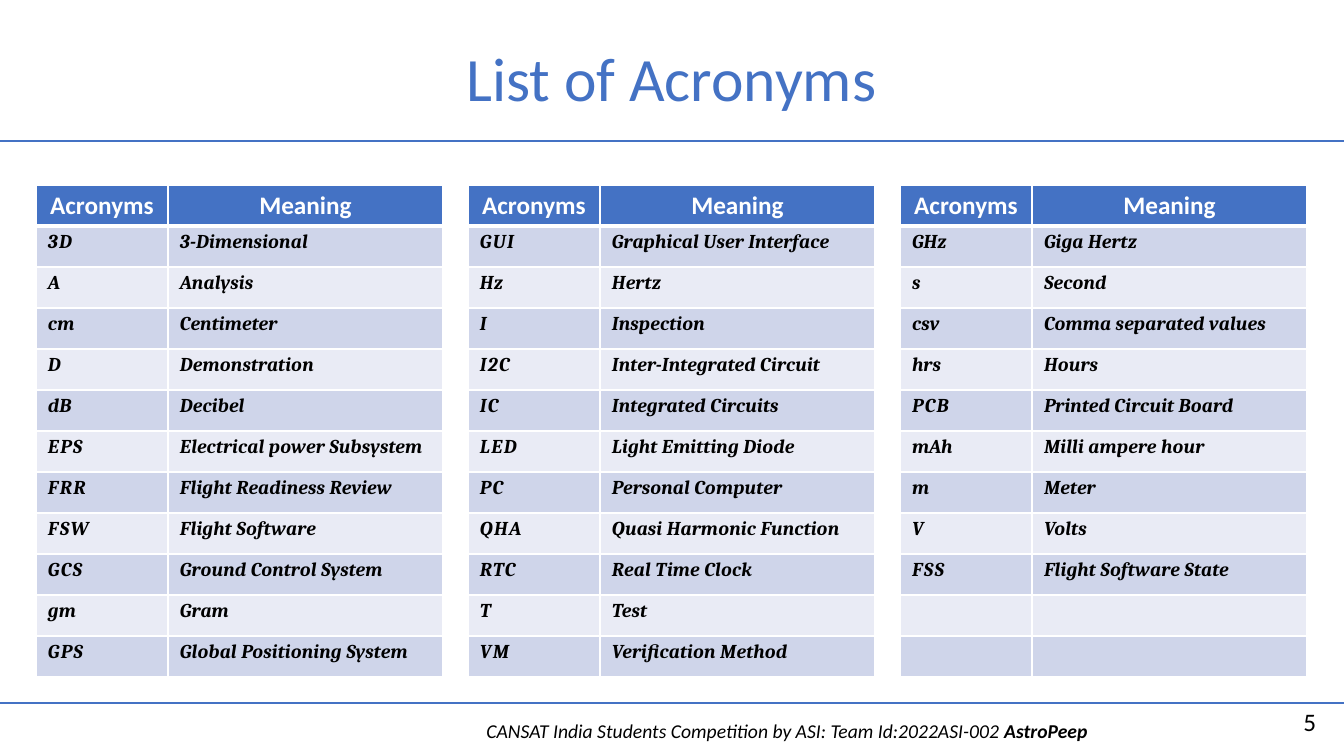
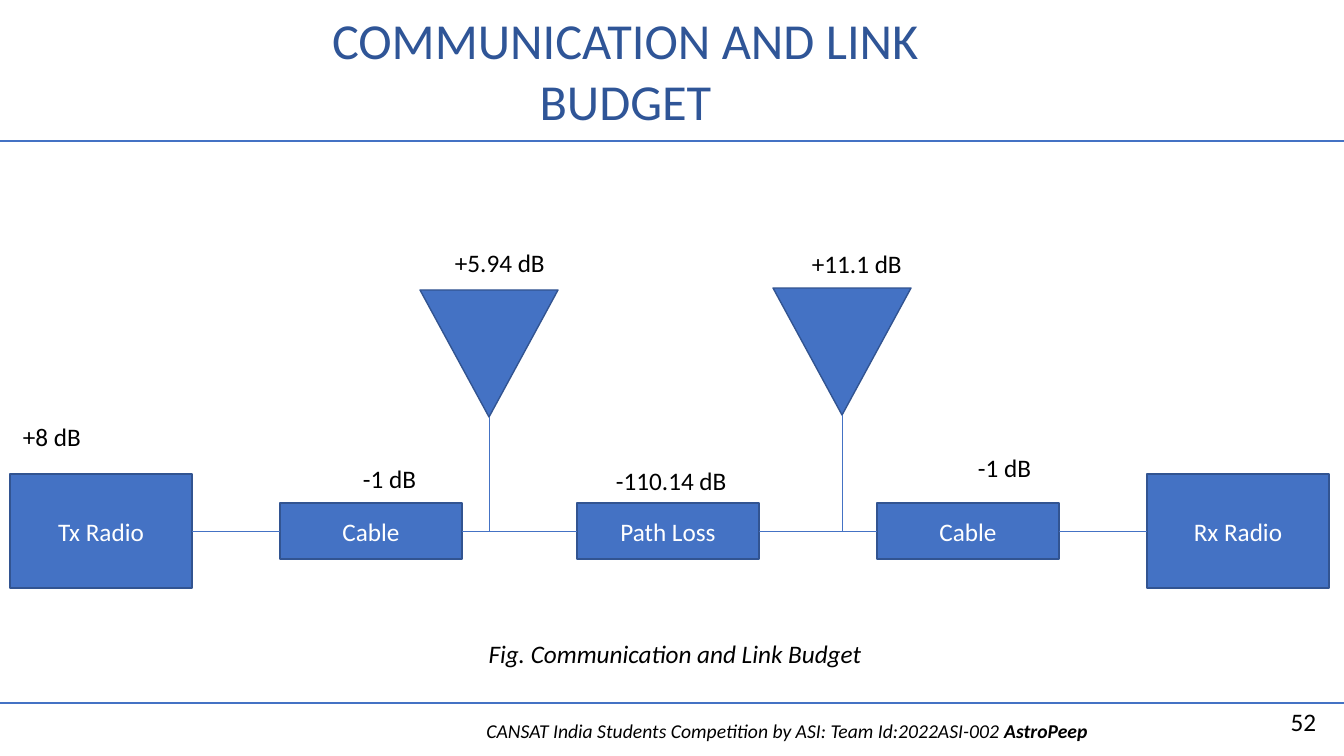
import dataclasses

import pptx
import pptx.dml.color
import pptx.enum.shapes
import pptx.enum.text
import pptx.oxml
import pptx.oxml.ns
import pptx.util

PX = 9071  # EMU per pixel
Pt = pptx.util.Pt
Rgb = pptx.dml.color.RGBColor.from_string
Align = pptx.enum.text.PP_ALIGN
Shape = pptx.enum.shapes.MSO_SHAPE
STRAIGHT = pptx.enum.shapes.MSO_CONNECTOR.STRAIGHT


@dataclasses.dataclass(frozen=True)
class Theme:
    font: str = "Calibri"
    table_font: str = "Cambria"
    blue: Rgb = Rgb("4472C4")
    outline: Rgb = Rgb("325491")
    deep_blue: Rgb = Rgb("2F5597")
    bands: tuple = (Rgb("CFD5EA"), Rgb("E9EBF5"))
    black: Rgb = Rgb("000000")
    white: Rgb = Rgb("FFFFFF")
    small: Pt = Pt(14)
    body: Pt = Pt(18)
    rule: Pt = Pt(2)
    wire: Pt = Pt(0.5)


theme = Theme()


def write(frame, text, align=Align.LEFT, size=theme.body, color=theme.black,
          name=theme.font, bold=False, italic=False):
    """Fill a text frame with one formatted paragraph and return it."""
    frame.text = text
    frame.word_wrap = True
    paragraph = frame.paragraphs[0]
    paragraph.alignment = align
    for run in paragraph.runs:
        run.font.name, run.font.size = name, size
        run.font.bold, run.font.italic = bold, italic
        run.font.color.rgb = color
    return paragraph


def add_line(slide, start_x, start_y, end_x, end_y, width):
    line = slide.shapes.add_connector(
        STRAIGHT, start_x * PX, start_y * PX, end_x * PX, end_y * PX)
    line.line.color.rgb = theme.blue
    line.line.width = width
    line._element.spPr.append(pptx.oxml.parse_xml(
        f'<a:effectLst {pptx.oxml.ns.nsdecls("a")}/>'))
    return line


presentation = pptx.Presentation()
presentation.slide_width = 1344 * PX
presentation.slide_height = 756 * PX
layout = presentation.slide_layouts[5]

# Titles and page numbers
pages = [
    ("List of Acronyms", (429, 27, 485, 99), Pt(44), theme.blue, "5"),
    ("COMMUNICATION AND LINK BUDGET", (265, 4, 721, 132), Pt(36), theme.deep_blue, "52"),
]
slides = []
for title_text, box, size, color, number in pages:
    slide = presentation.slides.add_slide(layout)
    title = slide.shapes.title
    title.left, title.top, title.width, title.height = (value * PX for value in box)
    write(title.text_frame, title_text, Align.CENTER, size, color)
    title.text_frame.auto_size = pptx.enum.text.MSO_AUTO_SIZE.NONE
    title.text_frame.vertical_anchor = pptx.enum.text.MSO_ANCHOR.MIDDLE
    page_number = slide.shapes.add_textbox(1024 * PX, 701 * PX, 302 * PX, 40 * PX)
    write(page_number.text_frame, number, Align.RIGHT)
    slides.append(slide)
acronym_slide, link_slide = slides

# Rules and footer are drawn once, then moved to the shared layout
footer = acronym_slide.shapes.add_textbox(472 * PX, 714 * PX, 630 * PX, 34 * PX)
footer_paragraph = write(
    footer.text_frame, "CANSAT India Students Competition by ASI: Team Id:2022ASI-002 ",
    Align.CENTER, theme.small, italic=True)
team = footer_paragraph.add_run()
team.text = "AstroPeep"
team.font.name, team.font.size = theme.font, theme.small
team.font.bold = team.font.italic = True
team.font.color.rgb = theme.black
rules = [add_line(acronym_slide, 0, y, 1344, y, theme.rule) for y in (141, 703)]
for shape in (footer, *rules):
    layout.shapes.element.append(shape._element)

# Acronym tables
acronyms = [
    [("3D", "3-Dimensional"), ("A", "Analysis"), ("cm", "Centimeter"),
     ("D", "Demonstration"), ("dB", "Decibel"), ("EPS", "Electrical power Subsystem"),
     ("FRR", "Flight Readiness Review"), ("FSW", "Flight Software"),
     ("GCS", "Ground Control System"), ("gm", "Gram"), ("GPS", "Global Positioning System")],
    [("GUI", "Graphical User Interface"), ("Hz", "Hertz"), ("I", "Inspection"),
     ("I2C", "Inter-Integrated Circuit"), ("IC", "Integrated Circuits"),
     ("LED", "Light Emitting Diode"), ("PC", "Personal Computer"),
     ("QHA", "Quasi Harmonic Function"), ("RTC", "Real Time Clock"), ("T", "Test"),
     ("VM", "Verification Method")],
    [("GHz", "Giga Hertz"), ("s", "Second"), ("csv", "Comma separated values"),
     ("hrs", "Hours"), ("PCB", "Printed Circuit Board"), ("mAh", "Milli ampere hour"),
     ("m", "Meter"), ("V", "Volts"), ("FSS", "Flight Software State"), ("", ""), ("", "")],
]
for table_index, entries in enumerate(acronyms):
    rows = [("Acronyms", "Meaning"), *entries]
    table = acronym_slide.shapes.add_table(
        len(rows), 2, (36 + 432 * table_index) * PX, 185 * PX,
        407 * PX, 41 * len(rows) * PX).table
    for column, width in zip(table.columns, (132, 275)):
        column.width = width * PX
    for row_index, row in enumerate(rows):
        is_header = row_index == 0
        table.rows[row_index].height = 41 * PX
        for column_index, text in enumerate(row):
            cell = table.cell(row_index, column_index)
            properties = cell._tc.get_or_add_tcPr()
            for side in "LRTB":
                thick = (is_header and side == "B") or (row_index == 1 and side == "T")
                properties.append(pptx.oxml.parse_xml(
                    f'<a:ln{side} {pptx.oxml.ns.nsdecls("a")} w="{Pt(3 if thick else 1)}">'
                    f'<a:solidFill><a:srgbClr val="{theme.white}"/></a:solidFill></a:ln{side}>'))
            cell.fill.solid()
            if is_header:
                cell.fill.fore_color.rgb = theme.blue
                write(cell.text_frame, text, Align.CENTER, color=theme.white, bold=True)
                continue
            cell.fill.fore_color.rgb = theme.bands[(row_index - 1) % 2]
            cell.margin_left, cell.margin_top = 12 * PX, 5 * PX
            cell.margin_right = cell.margin_bottom = 0
            paragraph = write(cell.text_frame, text, size=theme.small,
                              name=theme.table_font, bold=True, italic=True)
            # Capital abbreviations are letterspaced more widely
            spacing = "90" if len(text) > 1 and text.isupper() else "10"
            for run in paragraph.runs:
                run.font._element.set("spc", spacing)

# Link chain: boxes on one axis, joined in order
AXIS = 531
chain = [("Tx Radio", 10, 114), ("Cable", 280, 56), ("Path Loss", 577, 56),
         ("Cable", 877, 56), ("Rx Radio", 1147, 114)]
antennas = [(420, 290), (773, 288)]
blocks = [(Shape.RECTANGLE, text, left, AXIS - height // 2, 182, height)
          for text, left, height in chain]
blocks += [(Shape.ISOSCELES_TRIANGLE, "", left, top, 138, 127) for left, top in antennas]
shapes = []
for kind, text, left, top, width, height in blocks:
    shape = link_slide.shapes.add_shape(
        kind, left * PX, top * PX, width * PX, height * PX)
    shape.shadow.inherit = False
    shape.fill.solid()
    shape.fill.fore_color.rgb = theme.blue
    shape.line.color.rgb = theme.outline
    shape.line.width = Pt(1)
    if text:
        write(shape.text_frame, text, Align.CENTER, color=theme.white)
        shape.text_frame.vertical_anchor = pptx.enum.text.MSO_ANCHOR.MIDDLE
    else:
        shape.rotation = 180
    shapes.append(shape)

boxes = shapes[:len(chain)]
for previous, following in zip(boxes, boxes[1:]):
    wire = add_line(link_slide, 0, AXIS, 0, AXIS, theme.wire)
    wire.begin_connect(previous, 3)
    wire.end_connect(following, 1)
for left, top in antennas:
    add_line(link_slide, left + 69, top + 127, left + 69, AXIS, theme.wire)

# Gains, losses and caption
labels = [("+8 dB", 13, 416, 81), ("-1 dB", 353, 458, 81), ("+5.94 dB", 445, 242, 113),
          ("-110.14 dB", 606, 460, 138), ("+11.1 dB", 802, 243, 116), ("-1 dB", 968, 447, 81)]
for text, left, top, width in labels:
    label = link_slide.shapes.add_textbox(left * PX, top * PX, width * PX, 40 * PX)
    write(label.text_frame, text)
caption = link_slide.shapes.add_textbox(447 * PX, 633 * PX, 456 * PX, 40 * PX)
write(caption.text_frame, "Fig. Communication and Link Budget", Align.CENTER, italic=True)

presentation.save("out.pptx")
